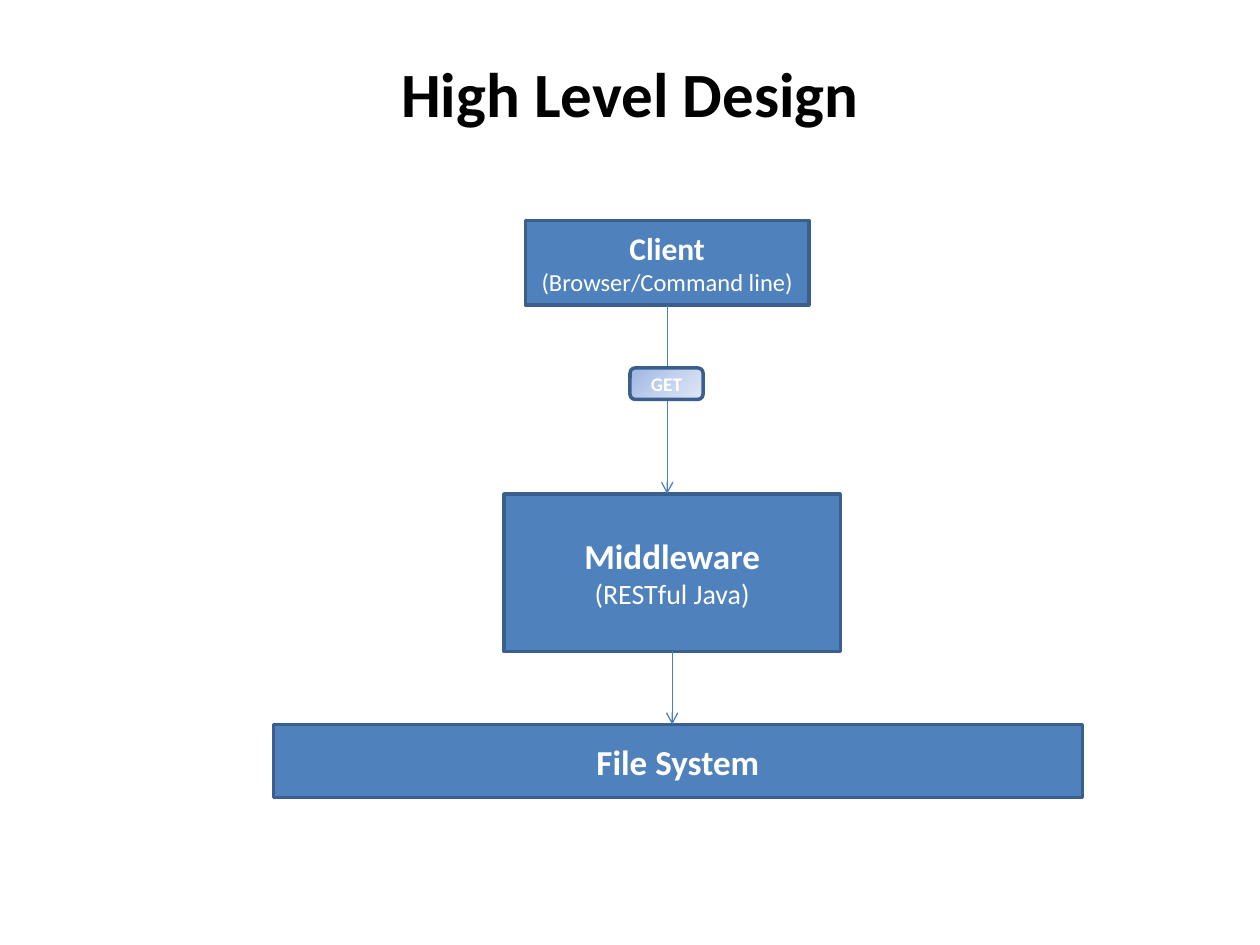
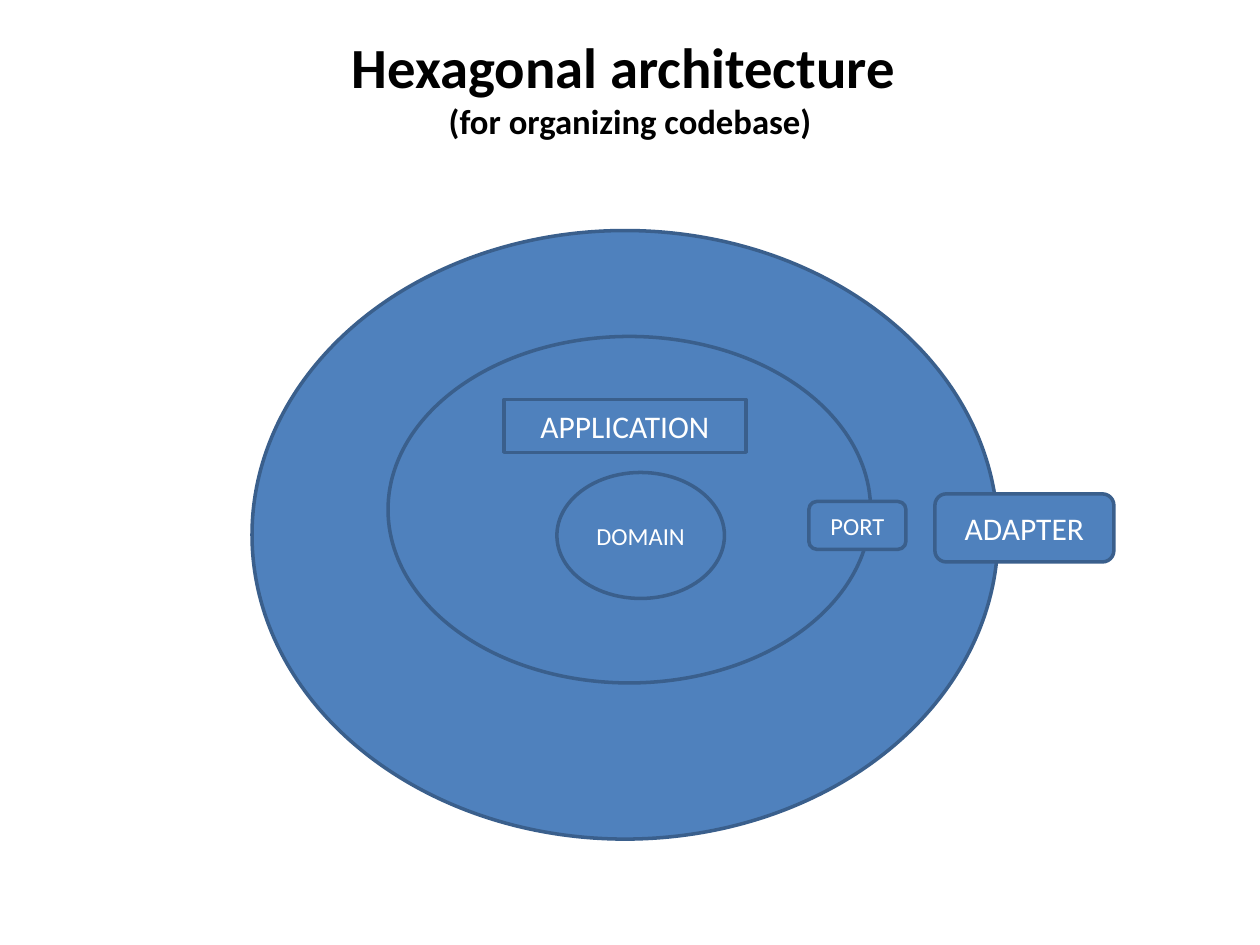
from copy import deepcopy

from lxml import etree
from pptx import Presentation
from pptx.dml.color import RGBColor
from pptx.enum.shapes import MSO_CONNECTOR, MSO_SHAPE
from pptx.enum.text import MSO_ANCHOR, PP_ALIGN
from pptx.oxml.ns import qn
from pptx.util import Inches, Pt

RECTANGLE = MSO_SHAPE.RECTANGLE
ROUNDED = MSO_SHAPE.ROUNDED_RECTANGLE
ELLIPSE = MSO_SHAPE.OVAL
STRAIGHT = MSO_CONNECTOR.STRAIGHT
MIDDLE = MSO_ANCHOR.MIDDLE
CENTER = PP_ALIGN.CENTER
BOTTOM_SIDE = 2

FONT = "Calibri"
BLACK = RGBColor(0x00, 0x00, 0x00)
WHITE = RGBColor(0xFF, 0xFF, 0xFF)
BLUE = RGBColor(0x4F, 0x81, 0xBD)
OUTLINE = RGBColor(0x3A, 0x5F, 0x8C)
ARROW = RGBColor(0x4B, 0x7E, 0xBC)
BADGE_STOPS = [
    (0, RGBColor(0x9A, 0xB5, 0xE4)),
    (0.5, RGBColor(0xC2, 0xD1, 0xED)),
    (1, RGBColor(0xE1, 0xE8, 0xF5)),
]


def format_run(run, size, color, bold):
    run.font.name = FONT
    run.font.size = Pt(size)
    run.font.color.rgb = color
    run.font.bold = bold


def add_title(slide, text, sizes, height):
    box = slide.shapes.add_textbox(Inches(0.5), Inches(0.3), Inches(9), Inches(height))
    text_frame = box.text_frame
    text_frame.word_wrap = True
    text_frame.vertical_anchor = MIDDLE
    paragraph = text_frame.paragraphs[0]
    paragraph.text = text
    paragraph.alignment = CENTER
    for run, size in zip(paragraph.runs, sizes):
        format_run(run, size, BLACK, True)


def add_block(slide, kind, origin, offset, size, lines=()):
    left, top = (Inches(start + step) for start, step in zip(origin, offset))
    shape = slide.shapes.add_shape(kind, left, top, *map(Inches, size))
    shape.shadow.inherit = False
    shape.fill.solid()
    shape.fill.fore_color.rgb = BLUE
    shape.line.color.rgb = OUTLINE
    shape.line.width = Pt(2)
    text_frame = shape.text_frame
    text_frame.word_wrap = True
    text_frame.vertical_anchor = MIDDLE
    text_frame.text = "\n".join(text for text, _, _ in lines)
    for paragraph, (_, font_size, bold) in zip(text_frame.paragraphs, lines):
        paragraph.alignment = CENTER
        format_run(paragraph.runs[0], font_size, WHITE, bold)
    return shape


def add_down_arrow(slide, source, target):
    x = source.left + source.width // 2
    connector = slide.shapes.add_connector(
        STRAIGHT, x, source.top + source.height, x, target.top
    )
    connector.begin_connect(source, BOTTOM_SIDE)
    connector.line.color.rgb = ARROW
    connector.line.width = Pt(0.75)
    line = connector.line._get_or_add_ln()
    etree.SubElement(line, qn("a:tailEnd"), type="arrow")
    etree.SubElement(connector._element.spPr, qn("a:effectLst"))


def fill_badge(shape):
    shape.fill.gradient()
    shape.fill.gradient_angle = 315
    stop_list = shape._element.spPr.find(".//" + qn("a:gsLst"))
    stop_list.append(deepcopy(stop_list[-1]))
    for stop, (position, color) in zip(shape.fill.gradient_stops, BADGE_STOPS):
        stop.position = position
        stop.color.rgb = color


def add_layers(slide, origin):
    client = add_block(
        slide, RECTANGLE, origin, (2, 0), (2.25, 0.67),
        [("Client", 18, True), ("(Browser/Command line)", 14, False)],
    )
    middleware = add_block(
        slide, RECTANGLE, origin, (1.83, 2.17), (2.67, 1.25),
        [("Middleware", 20, True), ("(RESTful Java)", 16, False)],
    )
    file_system = add_block(
        slide, RECTANGLE, origin, (0, 4), (6.42, 0.58), [("File System", 20, True)]
    )
    add_down_arrow(slide, client, middleware)
    add_down_arrow(slide, middleware, file_system)
    request = add_block(
        slide, ROUNDED, origin, (2.83, 1.17), (0.58, 0.25), [("GET", 11, True)]
    )
    fill_badge(request)


def add_hexagon(slide, origin):
    for offset, size in [((0, 0), (5.92, 4.83)), ((1.08, 0.84), (3.83, 2.75))]:
        add_block(slide, ELLIPSE, origin, offset, size)
    labels = [
        ("DOMAIN", 14, ELLIPSE, (2.42, 1.92), (1.33, 1)),
        ("APPLICATION", 18, RECTANGLE, (2, 1.34), (1.92, 0.42)),
        ("PORT", 14, ROUNDED, (4.42, 2.15), (0.77, 0.38)),
        ("ADAPTER", 18, ROUNDED, (5.42, 2.09), (1.42, 0.54)),
    ]
    for text, font_size, kind, offset, size in labels:
        add_block(slide, kind, origin, offset, size, [(text, font_size, False)])


def main():
    presentation = Presentation()
    presentation.slide_width = Inches(10)
    presentation.slide_height = Inches(7.5)
    blank = presentation.slide_layouts[6]

    slide = presentation.slides.add_slide(blank)
    add_title(slide, "High Level Design", [36], 0.87)
    add_layers(slide, (2.17, 1.75))

    slide = presentation.slides.add_slide(blank)
    add_title(
        slide, "Hexagonal architecture \v(for organizing codebase)", [32.4, 19.8], 0.78
    )
    add_hexagon(slide, (2, 1.83))

    presentation.save("out.pptx")


if __name__ == "__main__":
    main()
